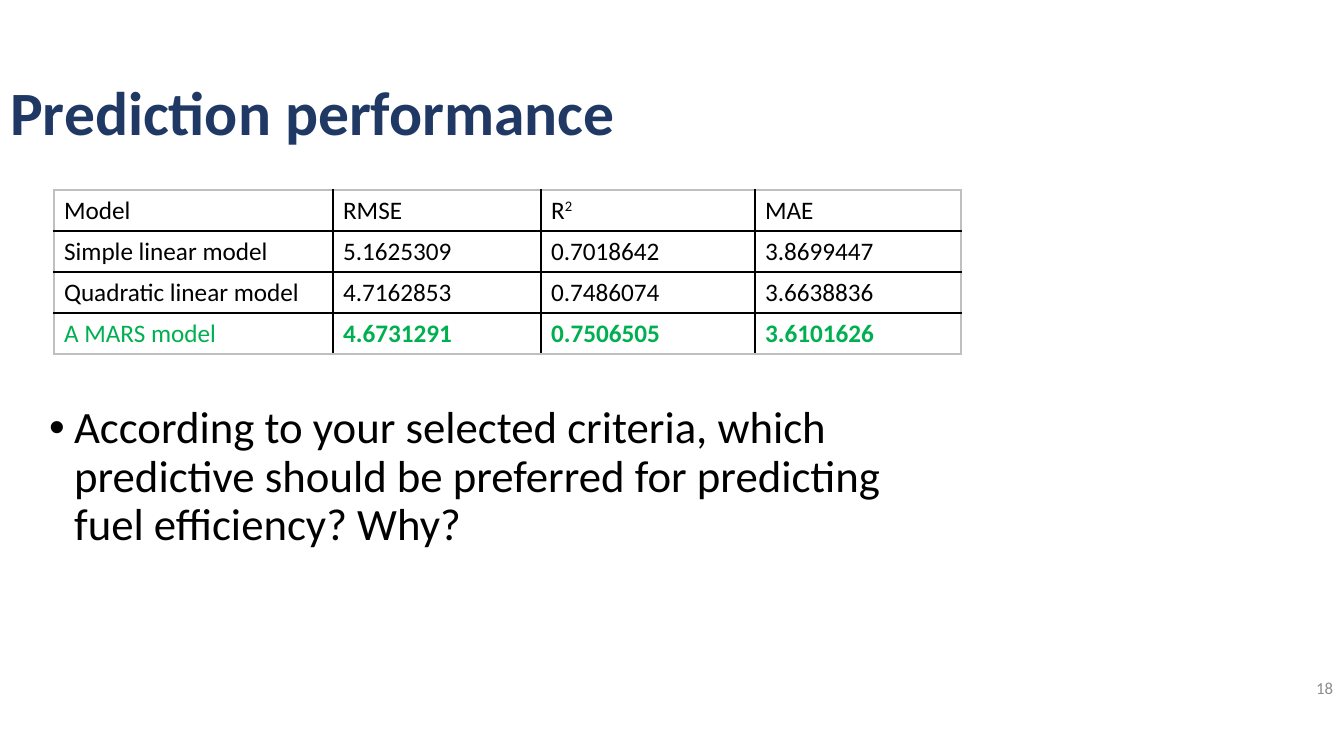
from pptx import Presentation
from pptx import util as u
from pptx.dml.color import RGBColor
from pptx.enum import text
from pptx.oxml import parse_xml
from pptx.oxml.ns import nsdecls

PX = 914400 / 100.8
BLACK, NAVY, GREEN, GREY, EDGE = "000000", "203864", "00B050", "8C8C8C", "BFBFBF"
COLUMN_WIDTHS = [279, 208, 214, 206]
ROW_HEIGHT = 41
RESULTS = [
    ["Model", "RMSE", "R", "MAE"],
    ["Simple linear model", "5.1625309", "0.7018642", "3.8699447"],
    ["Quadratic linear model", "4.7162853", "0.7486074", "3.6638836"],
    ["A MARS model", "4.6731291", "0.7506505", "3.6101626"],
]


def px(length):
    return u.Emu(round(length * PX))


def color(hex_code):
    return RGBColor.from_string(hex_code)


def style_runs(paragraph, size, hex_code, bold=False):
    for run in paragraph.runs:
        run.font.name = "Calibri"
        run.font.size = u.Pt(size)
        run.font.bold = bold
        run.font.color.rgb = color(hex_code)


def move(part, box):
    part.left, part.top, part.width, part.height = map(px, box)


def fill_title(title, box):
    move(title, box)
    frame = title.text_frame
    frame.text = "Prediction performance"
    frame.auto_size = text.MSO_AUTO_SIZE.NONE
    frame.vertical_anchor = text.MSO_ANCHOR.MIDDLE
    heading = frame.paragraphs[0]
    heading.alignment = text.PP_ALIGN.LEFT
    heading.line_spacing = 0.9
    style_runs(heading, 44, NAVY, bold=True)


def fill_question(body, box):
    move(body, box)
    frame = body.text_frame
    frame.text = ("According to your selected criteria, which predictive should "
                  "be preferred for predicting fuel efficiency? Why?")
    frame.auto_size = text.MSO_AUTO_SIZE.NONE
    question = frame.paragraphs[0]
    question.line_spacing = 0.9
    question.space_before = u.Pt(10)
    properties = question._p.get_or_add_pPr()
    properties.set("marL", str(px(25)))
    properties.set("indent", str(px(-25)))
    style_runs(question, 32, BLACK)


def add_borders(cell, outer_sides):
    """Draw all four sides, with the table's outer sides in a lighter grey."""
    properties = cell._tc.get_or_add_tcPr()
    for position, side in enumerate("LRTB"):
        hex_code = EDGE if side in outer_sides else BLACK
        properties.insert(position, parse_xml(
            f'<a:ln{side} {nsdecls("a")} w="12700"><a:solidFill>'
            f'<a:srgbClr val="{hex_code}"/></a:solidFill></a:ln{side}>'))


def add_results(slide, box):
    last_row, last_column = len(RESULTS) - 1, len(COLUMN_WIDTHS) - 1
    results = slide.shapes.add_table(
        len(RESULTS), len(COLUMN_WIDTHS), *map(px, box)).table
    results.first_row = results.horz_banding = False
    for column, width in zip(results.columns, COLUMN_WIDTHS):
        column.width = px(width)
    for r, values in enumerate(RESULTS):
        results.rows[r].height = px(ROW_HEIGHT)
        best = r == last_row
        for c, value in enumerate(values):
            cell = results.cell(r, c)
            cell.text = value
            cell.fill.background()
            entry = cell.text_frame.paragraphs[0]
            if value == "R":
                exponent = entry.add_run()
                exponent.text = "2"
                exponent._r.get_or_add_rPr().set("baseline", "30000")
            style_runs(entry, 18, GREEN if best else BLACK, bold=best and c > 0)
            edges = {"L": c == 0, "R": c == last_column, "T": r == 0, "B": best}
            add_borders(cell, [side for side, outer in edges.items() if outer])


def add_page_number(slide, box):
    frame = slide.shapes.add_textbox(*map(px, box)).text_frame
    frame.word_wrap = True
    frame.vertical_anchor = text.MSO_ANCHOR.MIDDLE
    frame.text = "18"
    number = frame.paragraphs[0]
    number.alignment = text.PP_ALIGN.RIGHT
    style_runs(number, 12, GREY)


def main():
    deck = Presentation()
    deck.slide_width, deck.slide_height = px(1344), px(756)
    slide = deck.slides.add_slide(deck.slide_layouts[1])
    fill_title(slide.shapes.title, (0, 74, 1344, 83))
    fill_question(slide.placeholders[1], (39, 400, 907, 209))
    add_page_number(slide, (1041, 668, 302, 40))
    add_results(slide, (54, 190, sum(COLUMN_WIDTHS), ROW_HEIGHT * len(RESULTS)))
    deck.save("out.pptx")


if __name__ == "__main__":
    main()
